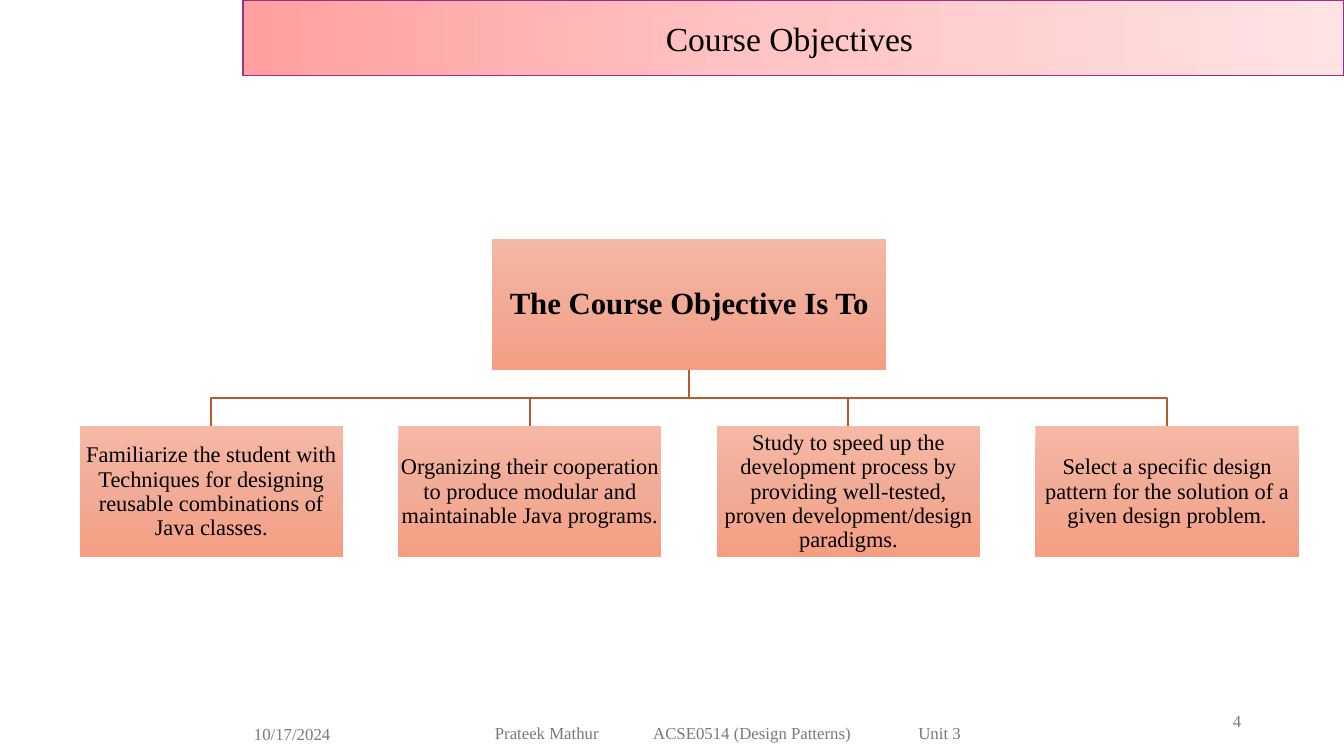
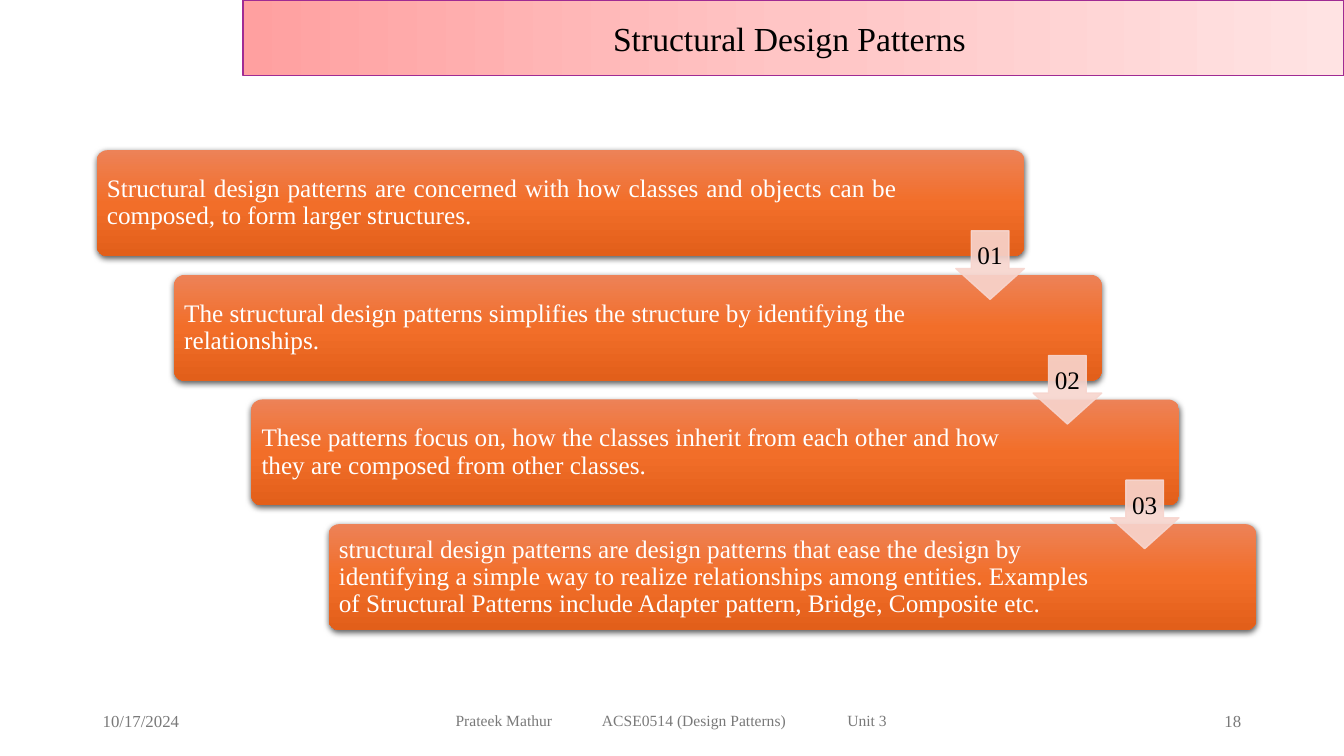
from copy import deepcopy

from lxml.etree import SubElement
from pptx import Presentation
from pptx.dml.color import RGBColor
from pptx.enum.shapes import MSO_SHAPE as Shape
from pptx.enum.text import MSO_ANCHOR as Anchor, MSO_AUTO_SIZE as AutoSize, PP_ALIGN as Align
from pptx.oxml.ns import qn
from pptx.util import Inches, Pt

FONT = "Times New Roman"
COLORS = {
    "black": "000000",
    "white": "FFFFFF",
    "footer": "797979",
    "band_line": "A02B93",
    "branch": "BB5A28",
    "arrow": "F7D5CE",
}
GRADIENTS = {
    "band": ("FFA0A0", "FFC5C5", "FFE3E3"),
    "objective": ("F5B8A5", "F2AB96", "F59E82"),
    "step": ("ED8257", "F26E29", "E25F1A"),
}
DATE = "10/17/2024"
FOOTER = ("Prateek Mathur", "ACSE0514 (Design Patterns)", "Unit 3")
FOOTER_TABS = (1.57, 4.2)  # inches, for 12 pt text

OBJECTIVES_SLIDE = {
    "title": "Course Objectives",
    "number": "4",
    "date_at": (2.42, 7.08, 2.33, 0.4),
    "footer_at": (4.81, 7.07, 4.85, 0.4),
    "footer_size": 12,
}
OBJECTIVE_HEADING = "The Course Objective Is To"
OBJECTIVES = [
    "Familiarize the student with Techniques for designing reusable combinations of Java classes.",
    "Organizing their cooperation to produce modular and maintainable Java programs.",
    "Study to speed up the development process by providing well-tested, "
    "proven development/design paradigms.",
    "Select a specific design pattern for the solution of a given design problem.",
]

PATTERNS_SLIDE = {
    "title": "Structural Design Patterns",
    "number": "18",
    "date_at": (0.92, 6.95, 3, 0.4),
    "footer_at": (4.42, 6.95, 4.5, 0.4),
    "footer_size": 11.1,
}
# text, alignment, right margin
STEPS = [
    ("Structural design patterns are concerned with how classes and objects can be composed, "
     "to form larger structures.", Align.JUSTIFY, 1.23),
    ("The structural design patterns simplifies the structure by identifying the relationships.",
     Align.LEFT, 1.52),
    ("These patterns focus on, how the classes inherit from each other and how they are composed "
     "from other classes.", Align.LEFT, 1.52),
    ("structural design patterns are design patterns that ease the design by identifying a simple "
     "way to realize relationships among entities. Examples of Structural Patterns include "
     "Adapter pattern, Bridge, Composite etc.", Align.LEFT, 1.52),
]


def rgb(name):
    return RGBColor.from_string(COLORS[name])


def inches(values):
    return [Inches(value) for value in values]


def set_attributes(target, values):
    for name, value in values.items():
        setattr(target, name, value)


def fill_gradient(shape, name, angle):
    """Fill with three evenly spaced stops; the angle runs counter-clockwise."""
    shape.fill.gradient()
    shape.fill.gradient_angle = angle
    stop_list = shape.element.spPr.find(".//" + qn("a:gsLst"))
    stop_list.insert(1, deepcopy(stop_list[0]))
    for index, (stop, color) in enumerate(zip(shape.fill.gradient_stops, GRADIENTS[name])):
        stop.position = index / 2
        stop.color.rgb = RGBColor.from_string(color)


def write_text(shape, text, size, color="black", align=Align.CENTER, bold=False,
               margins=None, line_spacing=None, tabs=()):
    """Write one paragraph; margins are left, top, right and bottom in inches."""
    frame = shape.text_frame
    set_attributes(frame, {"text": text, "word_wrap": True, "auto_size": AutoSize.NONE,
                           "vertical_anchor": Anchor.MIDDLE})
    if margins:
        sides = ("margin_left", "margin_top", "margin_right", "margin_bottom")
        set_attributes(frame, dict(zip(sides, inches(margins))))
    paragraph = frame.paragraphs[0]
    set_attributes(paragraph, {"alignment": align, "line_spacing": line_spacing})
    if tabs:
        tab_list = SubElement(paragraph._p.get_or_add_pPr(), qn("a:tabLst"))
        for position in tabs:
            SubElement(tab_list, qn("a:tab"), pos=str(Inches(position)), algn="l")
    set_attributes(paragraph.font, {"name": FONT, "size": Pt(size), "bold": bold})
    paragraph.font.color.rgb = rgb(color)


def add_block(slide, kind, at):
    shape = slide.shapes.add_shape(kind, *inches(at))
    shape.shadow.inherit = False
    shape.line.fill.background()
    return shape


def add_label(slide, at, text, size=12, align=Align.LEFT, tabs=()):
    box = slide.shapes.add_textbox(*inches(at))
    write_text(box, text, size, "footer", align, tabs=tabs)


def add_branch(slide, points):
    """Draw an open bent line through the points."""
    start, *others = [inches(point) for point in points]
    builder = slide.shapes.build_freeform(*start)
    builder.add_line_segments(others, close=False)
    branch = builder.convert_to_shape()
    branch.shadow.inherit = False
    branch.fill.background()
    branch.line.color.rgb = rgb("branch")
    branch.line.width = Pt(1.5)


def add_drop_shadow(shape):
    shadow = SubElement(shape.element.spPr.find(qn("a:effectLst")), qn("a:outerShdw"),
                        blurRad=str(Pt(4.5)), dist=str(Pt(1.5)), dir="5400000",
                        algn="ctr", rotWithShape="0")
    color = SubElement(shadow, qn("a:srgbClr"), val=COLORS["black"])
    SubElement(color, qn("a:alpha"), val="63000")


def add_slide(presentation, content):
    """Add a slide with the title band, date, footer and number."""
    slide = presentation.slides.add_slide(presentation.slide_layouts[5])
    title = slide.shapes.title
    left, top, width, height = inches((2.41, 0, 10.92, 0.75))
    set_attributes(title, {"left": left, "top": top, "width": width, "height": height})
    fill_gradient(title, "band", 0)
    title.line.color.rgb = rgb("band_line")
    title.line.width = Pt(1)
    write_text(title, content["title"], 24, margins=(0.1, 0.05, 0.18, 0.05))

    size = content["footer_size"]
    add_label(slide, content["date_at"], DATE)
    add_label(slide, content["footer_at"], "\t".join(FOOTER), size,
              tabs=[position * size / 12 for position in FOOTER_TABS])
    add_label(slide, (9.41, 6.95, 3, 0.4), content["number"], align=Align.RIGHT)
    return slide


def add_objective(slide, at, text, size, bold=False):
    box = add_block(slide, Shape.RECTANGLE, at)
    fill_gradient(box, "objective", 270)
    write_text(box, text, size, bold=bold, margins=(0.01,) * 4, line_spacing=0.9)


def build_objectives(presentation):
    slide = add_slide(presentation, OBJECTIVES_SLIDE)
    left, pitch, width, height = 0.79, 3.16, 2.61, 1.3
    heading_top, heading_width, row_top = 2.37, 3.91, 4.23
    heading_bottom = heading_top + height
    bend = (heading_bottom + row_top) / 2
    centers = [left + index * pitch + width / 2 for index in range(len(OBJECTIVES))]
    middle = (centers[0] + centers[-1]) / 2

    for center in reversed(centers):
        add_branch(slide, [(middle, heading_bottom), (middle, bend),
                           (center, bend), (center, row_top)])
    add_objective(slide, (middle - heading_width / 2, heading_top, heading_width, height),
                  OBJECTIVE_HEADING, 22, bold=True)
    for center, text in zip(centers, OBJECTIVES):
        add_objective(slide, (center - width / 2, row_top, width, height), text, 16)


def add_step_arrow(slide, at, text):
    arrow = add_block(slide, Shape.DOWN_ARROW, at)
    arrow.adjustments[0], arrow.adjustments[1] = 0.55, 0.45
    arrow.fill.solid()
    arrow.fill.fore_color.rgb = rgb("arrow")
    arrow.line.color.rgb = rgb("arrow")
    arrow.line.width = Pt(1)
    for color in arrow.element.spPr.iter(qn("a:srgbClr")):
        SubElement(color, qn("a:alpha"), val="90000")
    write_text(arrow, text, 18, margins=(0.03,) * 4, line_spacing=0.9)


def build_patterns(presentation):
    slide = add_slide(presentation, PATTERNS_SLIDE)
    width, height, arrow_size = 9.2, 1.05, 0.68
    first_left, first_top, last_left, last_top = 0.96, 1.49, 3.26, 5.2
    gaps = len(STEPS) - 1
    corners = [(first_left + (last_left - first_left) * index / gaps,
                first_top + (last_top - first_top) * index / gaps)
               for index in range(len(STEPS))]
    for (left, top), (text, align, right_margin) in zip(corners, STEPS):
        card = add_block(slide, Shape.ROUNDED_RECTANGLE, (left, top, width, height))
        card.adjustments[0] = 0.1
        fill_gradient(card, "step", 270)
        add_drop_shadow(card)
        write_text(card, text, 18, "white", align, margins=(0.07, 0.07, right_margin, 0.07),
                   line_spacing=0.9)
    for number, (left, top) in enumerate(corners[:-1], start=1):
        add_step_arrow(slide, (left + width - arrow_size, top + 0.8, arrow_size, arrow_size),
                       f"{number:02d}")


def main():
    presentation = Presentation()
    presentation.slide_width = Inches(13.33)
    presentation.slide_height = Inches(7.5)
    build_objectives(presentation)
    build_patterns(presentation)
    presentation.save("out.pptx")


if __name__ == "__main__":
    main()
